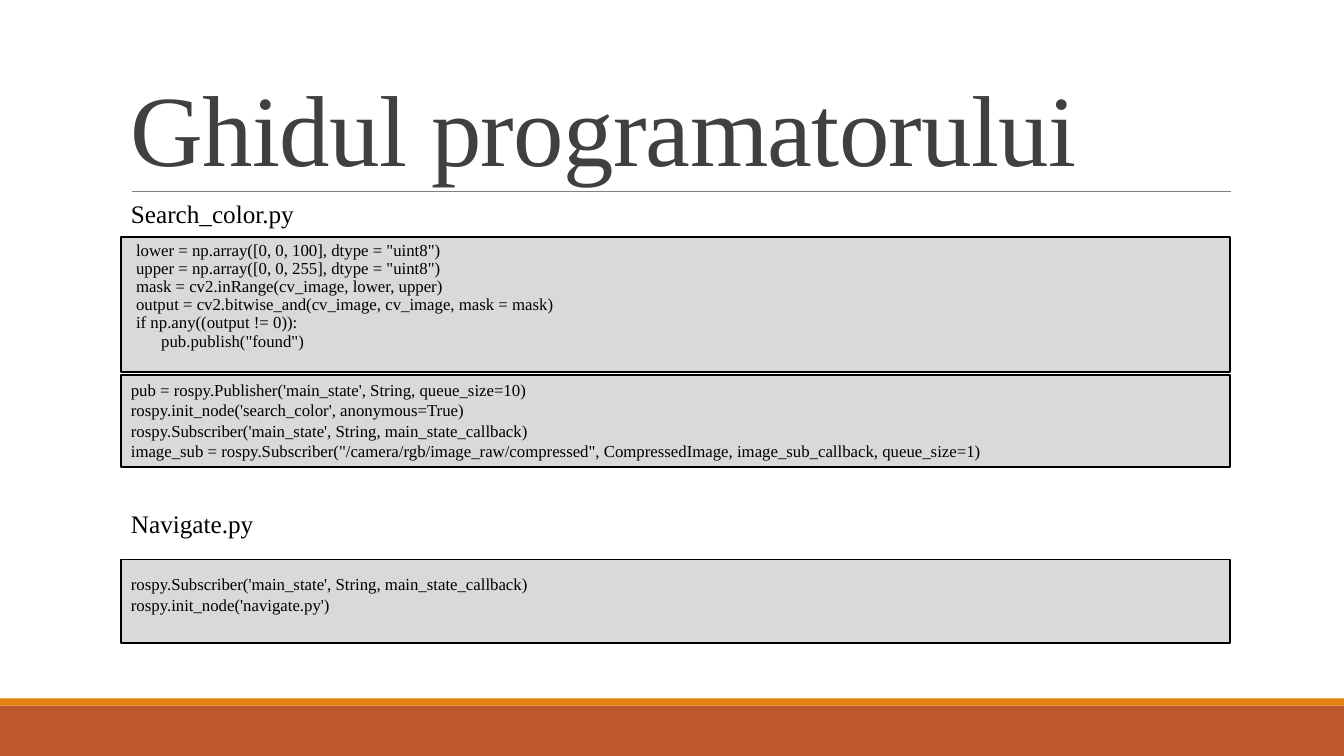
from pptx import Presentation
from pptx.dml.color import RGBColor as Rgb
from pptx.enum.shapes import MSO_CONNECTOR as Conn, MSO_SHAPE as Kind
from pptx.enum.text import MSO_ANCHOR as Anchor, PP_ALIGN as Align
from pptx.oxml.ns import qn
from pptx.util import Pt
from lxml.etree import SubElement

SCALE = 9144
FONT = "Times New Roman"
LEFT, WIDTH = 120, 1100
HUES = {
    "rust": "BD582C",
    "amber": "E48312",
    "rule": "808080",
    "title": "404040",
    "panel": "D9D9D9",
    "ink": "000000",
}

COLOR_CODE = """lower = np.array([0, 0, 100], dtype = "uint8")
upper = np.array([0, 0, 255], dtype = "uint8")
mask = cv2.inRange(cv_image, lower, upper)
output = cv2.bitwise_and(cv_image, cv_image, mask = mask)
if np.any((output != 0)):
      pub.publish("found")"""

NODE_CODE = """pub = rospy.Publisher('main_state', String, queue_size=10)
rospy.init_node('search_color', anonymous=True)
rospy.Subscriber('main_state', String, main_state_callback)
image_sub = rospy.Subscriber("/camera/rgb/image_raw/compressed", CompressedImage, image_sub_callback, queue_size=1)"""

NAV_CODE = """rospy.Subscriber('main_state', String, main_state_callback)
rospy.init_node('navigate.py')"""


def px(num):
    return num * SCALE


def hue(name):
    return Rgb.from_string(HUES[name])


def write(shape, text, size=12, color="ink", line=None, gap=0, track=0,
          anchor=Anchor.TOP, side=10, head=5):
    frame = shape.text_frame
    frame.word_wrap = True
    frame.vertical_anchor = anchor
    frame.margin_left, frame.margin_right = px(side), px(10)
    frame.margin_top, frame.margin_bottom = px(head), px(5)
    for row, words in enumerate(text.split("\n")):
        para = frame.add_paragraph() if row else frame.paragraphs[0]
        para.alignment = Align.LEFT
        para.line_spacing = line
        if row and gap:
            para.space_before = Pt(gap)
        run = para.add_run()
        run.text = words
        run.font.name = FONT
        run.font.size = Pt(size)
        run.font.color.rgb = hue(color)
        if track:
            run.font._element.set("spc", str(track))


def label(slide, text, top, high, wide=1128, **form):
    box = slide.shapes.add_textbox(px(LEFT), px(top), px(wide), px(high))
    write(box, text, **form)


def block(slide, left, top, wide, high, fill):
    shape = slide.shapes.add_shape(
        Kind.RECTANGLE, px(left), px(top), px(wide), px(high))
    shape.shadow.inherit = False
    shape.fill.solid()
    shape.fill.fore_color.rgb = hue(fill)
    shape.line.fill.background()
    return shape


def panel(slide, code, top, high, **form):
    shape = block(slide, LEFT, top, WIDTH, high, "panel")
    shape.line.color.rgb = hue("ink")
    shape.line.width = Pt(1.25)
    write(shape, code, **form)


def rule(slide, left, right, top):
    line = slide.shapes.add_connector(
        Conn.STRAIGHT, px(left), px(top), px(right), px(top))
    line.line.color.rgb = hue("rule")
    line.line.width = Pt(0.5)
    SubElement(line._element.spPr, qn("a:effectLst"))


def main():
    deck = Presentation()
    deck.slide_width, deck.slide_height = px(1333), px(750)
    slide = deck.slides.add_slide(deck.slide_layouts[6])
    block(slide, 0, 700, 1333, 50, "rust")
    block(slide, 0, 693, 1333, 7, "amber")
    rule(slide, 131, 1221, 190)
    label(slide, "Ghidul programatorului", 31, 159, wide=WIDTH, size=72,
          color="title", line=0.85, track=-50, anchor=Anchor.BOTTOM)
    panel(slide, COLOR_CODE, 235, 134, line=0.9, side=15)
    panel(slide, NODE_CODE, 372, 91)
    panel(slide, NAV_CODE, 555, 83, gap=1, head=14)
    label(slide, "Search_color.py", 192, 40, size=18)
    label(slide, "Navigate.py", 499, 40, size=18)
    deck.save("out.pptx")


if __name__ == "__main__":
    main()
